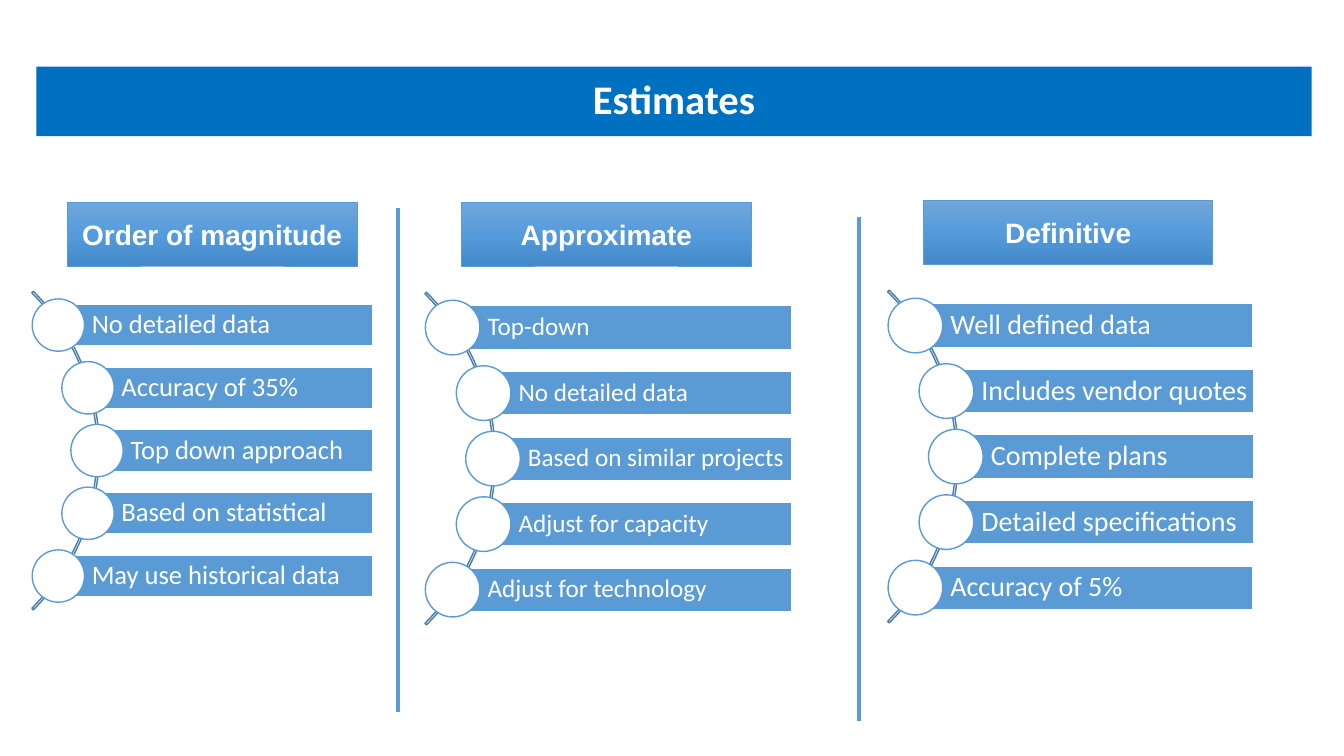
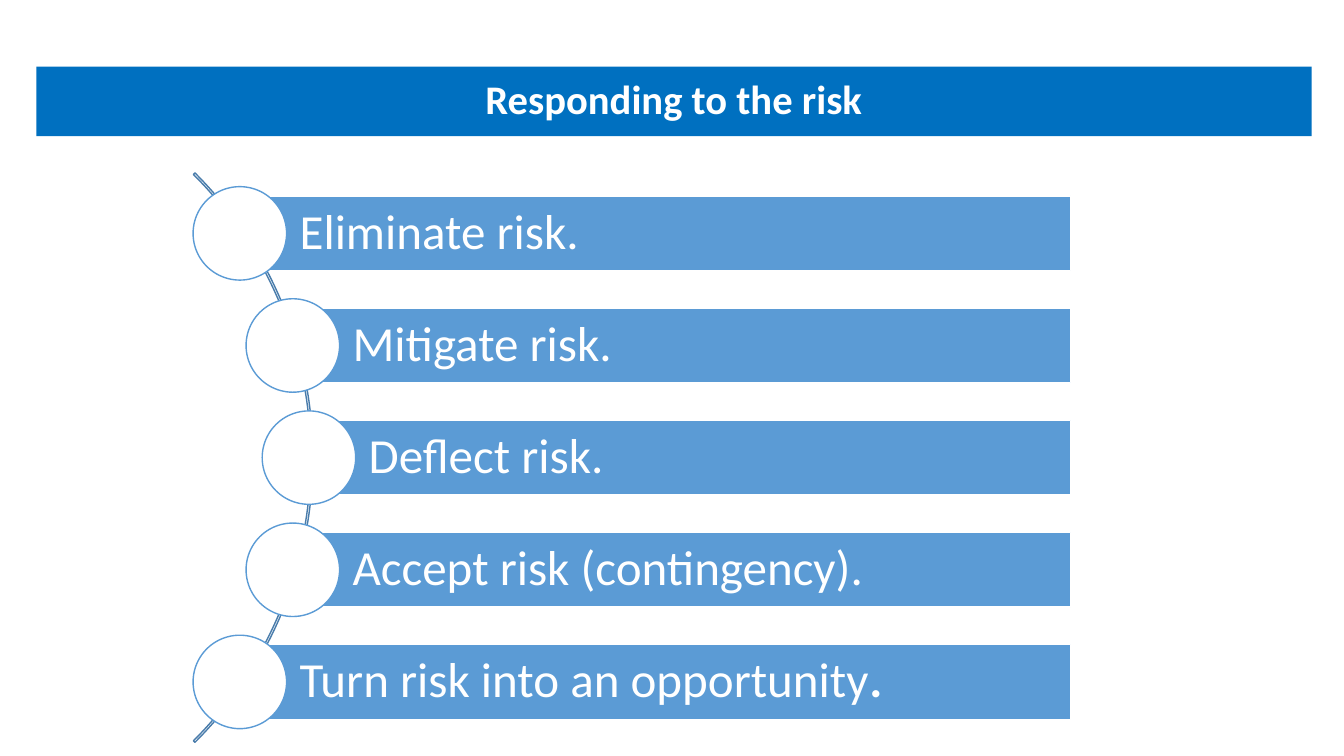
import copy
import math

import lxml.etree
import pptx
import pptx.dml.color
import pptx.enum.shapes
import pptx.enum.text
import pptx.oxml.ns
import pptx.util

SHAPE = pptx.enum.shapes.MSO_SHAPE
ALIGN = pptx.enum.text.PP_ALIGN
MIDDLE = pptx.enum.text.MSO_ANCHOR.MIDDLE
SCALE = 9144


def px(length):
    return pptx.util.Emu(round(length * SCALE))


def tint(code):
    return pptx.dml.color.RGBColor.from_string(code)


def put(target, values):
    for name, value in values.items():
        setattr(target, name, value)


class Deck:
    WHITE, BAND, BLUE, ARC = "FFFFFF", "0070C0", "5B9BD5", "497CAB"
    FADE = [(0, "71A6DB"), (0.5, "559BDB"), (1, "448ACA")]
    TITLE = {"size": pptx.util.Pt(29), "name": "Calibri", "bold": True}
    HEAD = {"size": pptx.util.Pt(20), "name": "Arial", "bold": True}

    def __init__(self):
        self.file = pptx.Presentation()
        put(self.file, {"slide_width": px(1333), "slide_height": px(750)})

    def page(self, title):
        slide = self.file.slides.add_slide(self.file.slide_layouts[6])
        self.shapes = slide.shapes
        band = self.shape(self.shapes, SHAPE.RECTANGLE, (36, 66, 1265, 69), self.BAND)
        self.text(band, title, self.TITLE, ALIGN.CENTER, 0.9)

    def shape(self, shapes, kind, box, fill=None, line=None, width=1):
        shape = shapes.add_shape(kind, *map(px, box))
        shape.shadow.inherit = False
        if fill:
            shape.fill.solid()
            shape.fill.fore_color.rgb = tint(fill)
        else:
            shape.fill.background()
        if line:
            shape.line.color.rgb = tint(line)
            shape.line.width = pptx.util.Pt(width)
        else:
            shape.line.fill.background()
        return shape

    def text(self, shape, text, font, align, space=1.0, left=10, right=10):
        put(shape.text_frame, {
            "word_wrap": True, "vertical_anchor": MIDDLE,
            "margin_left": px(left), "margin_right": px(right),
            "margin_top": px(5), "margin_bottom": px(5)})
        para = shape.text_frame.paragraphs[0]
        put(para, {"alignment": align, "line_spacing": space})
        plain, mark, tail = text.partition("|")
        for part, extra in ((plain, {}), (tail, {"bold": True})):
            if part:
                run = para.add_run()
                run.text = part
                put(run.font, {**font, **extra})
                run.font.color.rgb = tint(self.WHITE)

    def head(self, left, top, text):
        box = self.shape(self.shapes, SHAPE.RECTANGLE, (left, top, 287, 63),
                         line=self.BLUE, width=0.5)
        box.fill.gradient()
        box.fill.gradient_angle = 270
        first = next(box.element.iter(pptx.oxml.ns.qn("a:gs")))
        first.addnext(copy.deepcopy(first))
        for stop, (place, code) in zip(box.fill.gradient_stops, self.FADE):
            stop.position = place
            stop.color.rgb = tint(code)
        self.text(box, text, self.HEAD, ALIGN.CENTER)

    def rule(self, x, top):
        line = self.shapes.add_connector(
            pptx.enum.shapes.MSO_CONNECTOR.STRAIGHT, *map(px, (x, top, x, top + 500)))
        line.line.color.rgb = tint(self.BLUE)
        line.line.width = pptx.util.Pt(3)
        lxml.etree.SubElement(line.element.spPr, pptx.oxml.ns.qn("a:effectLst"))

    def curve(self, x, y, span, right, size, items):
        shapes = self.shapes.add_group_shape().shapes
        step = span / (len(items) - 1)
        radius, high, disc = step * 3.59, step * 2 / 3, step * 5 / 6
        arc = self.shape(shapes, SHAPE.BLOCK_ARC,
                         (x - radius, y - radius, 2 * radius, 2 * radius), line=self.ARC)
        for place, value in enumerate((189, 27, 0.3 / step)):
            arc.adjustments[place] = value
        font = {"size": pptx.util.Pt(size), "name": "Calibri", "bold": False}
        for place, item in enumerate(items):
            drop = place * step - span / 2
            left = x + math.sqrt((radius * 0.99) ** 2 - drop ** 2)
            mid = y + drop
            bar = self.shape(shapes, SHAPE.RECTANGLE,
                             (left, mid - high / 2, right - left, high), self.BLUE, self.WHITE)
            self.text(bar, item, font, ALIGN.LEFT, 0.9, high * 0.8, 0)
            self.shape(shapes, SHAPE.OVAL,
                       (left - disc / 2, mid - disc / 2, disc, disc), self.WHITE, self.BLUE)


def main():
    deck = Deck()
    deck.page("Estimates")
    for left, top, text, curve, items in (
        (67, 201, "Order of magnitude", (-125, 447, 249, 370, 19),
         ["No detailed data", "Accuracy of 35%", "Top down approach",
          "Based on statistical", "May use historical data"]),
        (458, 201, "Approximate", (258, 455, 260, 785, 18),
         ["Top-down", "No detailed data", "Based on similar projects",
          "Adjust for capacity", "Adjust for technology"]),
        (916, 199, "Definitive", (717, 453, 260, 1243, 20),
         ["Well defined data", "Includes vendor quotes", "Complete plans",
          "Detailed specifications", "Accuracy of 5%"]),
    ):
        deck.head(left, top, text)
        deck.curve(*curve, items)
    deck.rule(395, 206)
    deck.rule(852, 215)

    deck.page("Responding to the risk")
    deck.curve(-89, 454, 445, 1062, 35, [
        "Eliminate risk.", "Mitigate risk.", "Deflect risk.",
        "Accept risk (contingency).", "Turn risk into an opportunity|."])
    deck.file.save("out.pptx")


if __name__ == "__main__":
    main()
